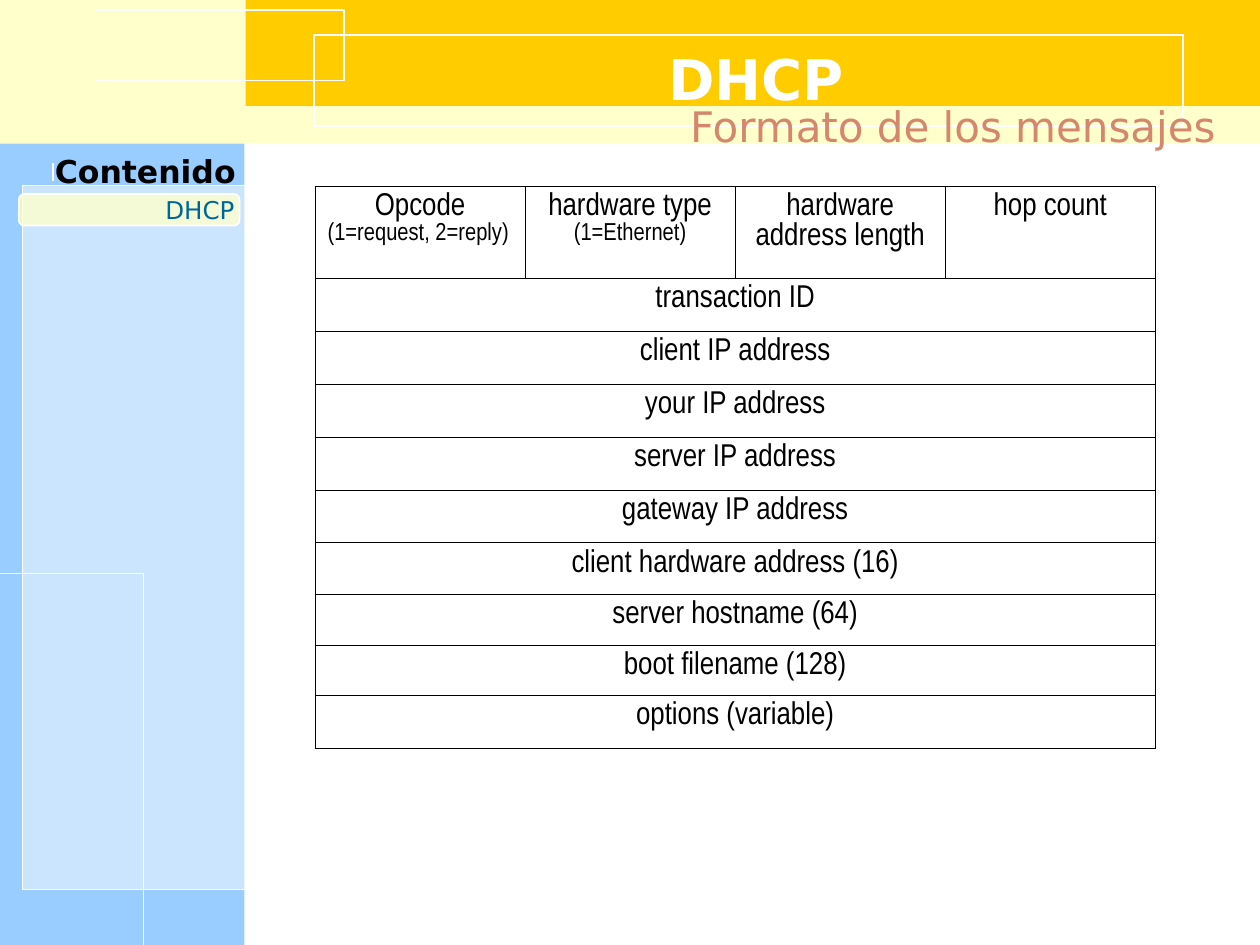
from lxml import etree
from pptx import Presentation
from pptx.dml.color import RGBColor
from pptx.enum.shapes import MSO_CONNECTOR, MSO_SHAPE
from pptx.enum.text import MSO_ANCHOR, MSO_AUTO_SIZE, PP_ALIGN
from pptx.oxml.ns import qn
from pptx.util import Inches, Pt

RECT, ROUND = MSO_SHAPE.RECTANGLE, MSO_SHAPE.ROUNDED_RECTANGLE
STRAIGHT = MSO_CONNECTOR.STRAIGHT
TOP, MIDDLE = MSO_ANCHOR.TOP, MSO_ANCHOR.MIDDLE
LEFT, CENTER, RIGHT = PP_ALIGN.LEFT, PP_ALIGN.CENTER, PP_ALIGN.RIGHT
NO_FIT = MSO_AUTO_SIZE.NONE

COLORS = {
    "white": "FFFFFF", "black": "000000", "cream": "FFFFCC", "gold": "FFCC00",
    "sky": "99CCFF", "coral": "D4876C", "teal": "006699",
}
SANS, NARROW = "DejaVu Sans", "Arial Narrow"

HEADS = [
    ["Opcode", "(1=request, 2=reply)"],
    ["hardware type", "(1=Ethernet)"],
    ["hardware address length"],
    ["hop count"],
]
FIELDS = [
    ("transaction ID", 0.42), ("client IP address", 0.42),
    ("your IP address", 0.42), ("server IP address", 0.42),
    ("gateway IP address", 0.42), ("client hardware address (16)", 0.41),
    ("server hostname (64)", 0.4), ("boot filename (128)", 0.4),
    ("options (variable)", 0.42),
]
HEAD_TALL, TABLE_WIDE = 0.73, 6.67


def rgb(name):
    return RGBColor.from_string(COLORS[name])


def style(para, size, color, font=SANS, bold=False, align=LEFT):
    para.alignment = align
    for run in para.runs:
        run.font.size = Pt(size)
        run.font.name = font
        run.font.bold = bold
        run.font.color.rgb = rgb(color)


def add_box(slide, at, fill=None, line=None, alpha=None, kind=RECT):
    """Add a preset shape; line is a width in points, alpha a percentage."""
    box = slide.shapes.add_shape(kind, *map(Inches, at))
    box.shadow.inherit = False
    if fill:
        box.fill.solid()
        box.fill.fore_color.rgb = rgb(fill)
    else:
        box.fill.background()
    if alpha:
        tint = box._element.spPr.find(qn("a:solidFill"))[0]
        etree.SubElement(tint, qn("a:alpha"), val=str(alpha * 1000))
    if line:
        box.line.color.rgb = rgb("white")
        box.line.width = Pt(line)
    else:
        box.line.fill.background()
    return box


def add_tick(slide, x, top, end):
    tick = slide.shapes.add_connector(
        STRAIGHT, Inches(x), Inches(top), Inches(x), Inches(end))
    tick.line.color.rgb = rgb("white")
    tick.line.width = Pt(0.75)
    etree.SubElement(tick._element.spPr, qn("a:effectLst"))


def add_label(slide, at, text, size, color, bold=False):
    frame = slide.shapes.add_textbox(*map(Inches, at)).text_frame
    frame.word_wrap = True
    frame.text = text
    style(frame.paragraphs[0], size, color, bold=bold, align=RIGHT)


def fill_holder(slide, index, at, text, anchor, **look):
    """Place and format a placeholder, in front of what is drawn so far."""
    holder = slide.placeholders[index]
    holder.left, holder.top, holder.width, holder.height = map(Inches, at)
    frame = holder.text_frame
    frame.text = text
    frame.auto_size = NO_FIT
    frame.vertical_anchor = anchor
    frame.paragraphs[0].space_before = Pt(0)
    style(frame.paragraphs[0], **look)
    slide.shapes._spTree.append(holder._element)


def rule_cell(cell):
    """Give a cell thin black borders and no fill."""
    props = cell._tc.get_or_add_tcPr()
    for side in ("lnL", "lnR", "lnT", "lnB"):
        edge = etree.SubElement(props, qn(f"a:{side}"), w=str(Pt(0.45)))
        paint = etree.SubElement(edge, qn("a:solidFill"))
        etree.SubElement(paint, qn("a:srgbClr"), val=COLORS["black"])
    cell.fill.background()


def write_cell(cell, lines, aligns=(CENTER, CENTER)):
    cell.text_frame.text = "\n".join(lines)
    for para, size, align in zip(cell.text_frame.paragraphs, (18, 14), aligns):
        style(para, size, "black", NARROW, align=align)


def add_format(slide):
    """Add the table of message fields."""
    talls = [HEAD_TALL] + [tall for _, tall in FIELDS]
    table = slide.shapes.add_table(
        len(talls), len(HEADS), Inches(2.5), Inches(1.48),
        Inches(TABLE_WIDE), Inches(sum(talls))).table
    table.first_row = table.horz_banding = False
    for col in table.columns:
        col.width = Inches(TABLE_WIDE / len(HEADS))
    for row, tall in zip(table.rows, talls):
        row.height = Inches(tall)
    for cell in table.iter_cells():
        rule_cell(cell)
    for col, lines in enumerate(HEADS):
        aligns = (CENTER, LEFT if col == 0 else CENTER)
        write_cell(table.cell(0, col), lines, aligns)
    for row, (name, _) in enumerate(FIELDS, 1):
        first = table.cell(row, 0)
        first.merge(table.cell(row, len(HEADS) - 1))
        write_cell(first, [name])


def add_frame(slide):
    """Add the coloured bands and outlines behind the content."""
    add_box(slide, (0, 0, 10, 1.14), "cream")
    add_box(slide, (1.95, 0, 8.05, 0.84), "gold")
    add_box(slide, (2.49, 0.28, 6.9, 0.72), line=1)
    add_box(slide, (0.76, 0.08, 1.97, 0.56), line=0.75)
    add_box(slide, (0, 1.14, 1.94, 6.36), "sky")
    add_box(slide, (-0.02, 4.55, 1.16, 2.96), line=0.75)
    add_box(slide, (0.18, 1.47, 1.77, 5.59), "white", 0.75, alpha=50)


def add_menu(slide):
    add_label(slide, (0, 1.16, 1.97, 0.4), "Contenido", 18, "black", True)
    add_tick(slide, 0.42, 1.29, 1.44)
    pill = add_box(slide, (0.15, 1.54, 1.75, 0.25), "cream", 1, 80, ROUND)
    pill.adjustments[0] = 0.17
    add_label(slide, (0.14, 1.5, 1.82, 0.34), "DHCP", 14, "teal")


def main():
    deck = Presentation()
    deck.slide_width, deck.slide_height = Inches(10), Inches(7.5)
    slide = deck.slides.add_slide(deck.slide_layouts[0])
    add_frame(slide)
    fill_holder(slide, 0, (2.08, 0.22, 7.84, 0.8), "DHCP", MIDDLE,
                size=32, color="white", bold=True, align=CENTER)
    fill_holder(slide, 1, (1.95, 0.75, 7.8, 0.57), "Formato de los mensajes",
                TOP, size=24, color="coral", align=RIGHT)
    add_menu(slide)
    add_format(slide)
    deck.save("out.pptx")


if __name__ == "__main__":
    main()
